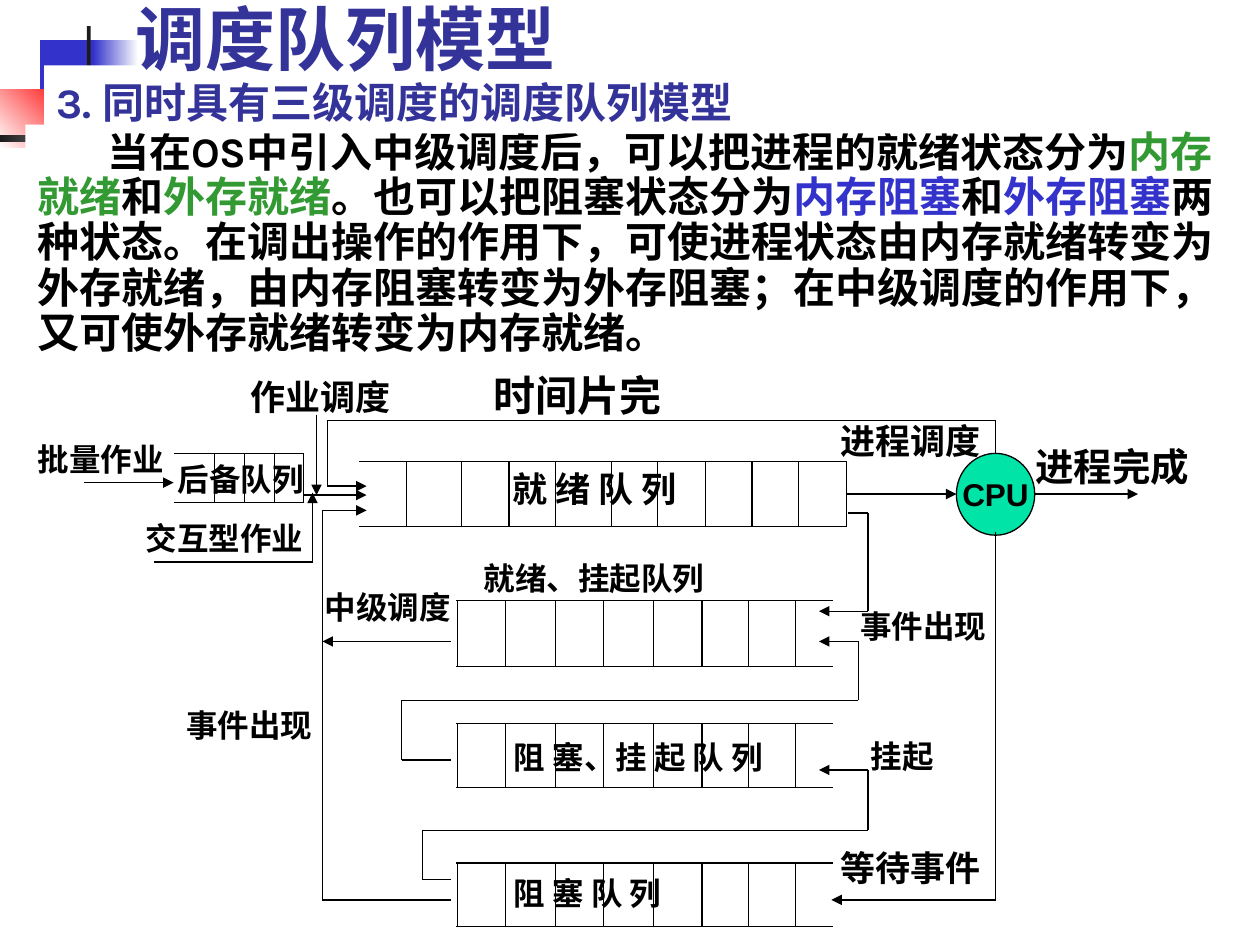
from itertools import pairwise

from lxml.etree import SubElement
from pptx import Presentation
from pptx.dml.color import RGBColor
from pptx.enum.shapes import MSO_CONNECTOR, MSO_SHAPE
from pptx.enum.text import MSO_ANCHOR, MSO_AUTO_SIZE, PP_ALIGN
from pptx.oxml.ns import qn
from pptx.util import Cm, Pt

COLORS = {
    "black": "000000", "white": "FFFFFF", "blue": "3333CC", "navy": "333399",
    "green": "339933", "yellow": "FFCF01", "red": "FF0000", "bar": "1C1C1C",
    "cpu": "00E4A8",
}

HEADING = "调度队列模型"
TITLE = "3. 同时具有三级调度的调度队列模型"
BODY = [
    ("当在OS中引入中级调度后，可以把进程的就绪状态分为", "black"),
    ("内存就绪", "green"), ("和", "black"), ("外存就绪", "green"),
    ("。也可以把阻塞状态分为", "black"),
    ("内存阻塞", "blue"), ("和", "black"), ("外存阻塞", "blue"),
    ("两种状态。在调出操作的作用下，可使进程状态由内存就绪转变为外存就绪，"
     "由内存阻塞转变为外存阻塞；在中级调度的作用下，又可使外存就绪转变为内存就绪。", "black"),
]

# Corner ornament: left, top, width, height, colours, gradient angle
ORNAMENT = [
    (0.81, 0.81, 1.22, 1.32, ["blue"], 0),
    (1.88, 0.81, 0.91, 1.32, ["blue", "white"], 0),
    (1.14, 2.01, 1.17, 1.32, ["yellow"], 0),
    (2.18, 2.01, 1.02, 1.32, ["yellow", "white"], 0),
    (0, 1.8, 1.55, 1.17, ["white", "red"], 45),
    (1.75, 0.53, 0.08, 2.92, ["bar"], 0),
    (0, 2.72, 3.1, 0.15, ["bar", "white"], 0),
]

# Queues: left, right, top, bottom, divider positions
STEPS = [9.22, 10.19, 11.2, 12.17, 13.18, 14.15, 15.09, 16.03]
QUEUES = [
    (3.5, 6.12, 9.14, 10.13, [4.32, 4.93, 5.54, 6.12]),
    (7.24, 17.07, 9.3, 10.62,
     [8.2, 9.3, 10.26, 11.2, 12.32, 13.26, 14.22, 15.16, 16.1, 17.07]),
    (9.2, 16.8, 12.1, 13.44, STEPS),
    (9.2, 16.8, 14.58, 15.88, STEPS),
    (9.2, 16.8, 17.4, 18.67, STEPS),
]

# Routes between queues; each one ends in an arrowhead
ROUTES = [
    [(20.07, 9.14), (20.07, 8.48), (6.6, 8.48), (6.6, 9.8), (7.39, 9.8)],
    [(17.07, 9.96), (19.28, 9.96)],
    [(20.86, 9.96), (22.94, 9.96)],
    [(20.07, 10.72), (20.07, 18.14), (16.76, 18.14)],
    [(9.09, 18.14), (6.5, 18.14), (6.5, 10.29), (7.39, 10.29)],
    [(1.7, 9.73), (3.5, 9.73)],
    [(3.1, 11.33), (6.3, 11.33), (6.3, 9.93)],
    [(6.12, 9.98), (7.39, 9.98)],
    [(6.38, 8.36), (6.38, 9.98)],
    [(9.09, 17.73), (8.51, 17.73), (8.51, 16.74), (17.5, 16.74), (17.5, 15.52), (16.51, 15.52)],
    [(9.09, 15.32), (8.1, 15.32), (8.1, 14.12), (17.3, 14.12), (17.3, 12.93), (16.51, 12.93)],
    [(9.09, 12.93), (6.5, 12.93)],
    [(17.09, 10.34), (17.5, 10.34), (17.5, 12.32), (16.51, 12.32)],
]

# Labels: text, left, top, width, size
LABELS = [
    ("就 绪 队 列", 10.08, 9.3, 4.27, 20),
    ("时间片完", 9.7, 7.32, 4.27, 24),
    ("进程调度", 16.69, 8.33, 3.58, 20),
    ("进程完成", 20.62, 8.81, 3.86, 22),
    ("后备队列", 3.33, 9.14, 3.18, 18),
    ("等待事件", 16.69, 16.94, 3.99, 20),
    ("事件出现", 3.51, 14.1, 3.3, 18),
    ("作业调度", 4.8, 7.44, 3.71, 20),
    ("批量作业", 0.51, 8.74, 3.4, 18),
    ("交互型作业", 2.69, 10.34, 3.81, 18),
    ("中级调度", 6.3, 11.73, 3.2, 18),
    ("就绪、挂起队列", 9.5, 11.15, 6.2, 18),
    ("事件出现", 17.09, 12.12, 3.81, 18),
    ("阻 塞、挂 起 队 列", 10.11, 14.76, 6.2, 18),
    ("挂起", 17.3, 14.73, 3.02, 18),
    ("阻 塞 队 列", 10.11, 17.5, 3.99, 18),
]


def color(name):
    return RGBColor.from_string(COLORS[name])


def paint(shape, names, angle=0):
    if len(names) == 1:
        shape.fill.solid()
        shape.fill.fore_color.rgb = color(names[0])
        return
    shape.fill.gradient()
    shape.fill.gradient_angle = angle
    for stop, name in zip(shape.fill.gradient_stops, names):
        stop.color.rgb = color(name)


def place(shape, left, top, width, height):
    shape.left, shape.top = Cm(left), Cm(top)
    shape.width, shape.height = Cm(width), Cm(height)


def format_run(run, size, name, font="Arial"):
    run.font.name, run.font.size, run.font.bold = font, Pt(size), True
    run.font.color.rgb = color(name)


def add_shape(slide, kind, left, top, width, height):
    shape = slide.shapes.add_shape(kind, Cm(left), Cm(top), Cm(width), Cm(height))
    shape.shadow.inherit = False
    return shape


def add_line(slide, start, end, arrow=False):
    line = slide.shapes.add_connector(MSO_CONNECTOR.STRAIGHT, *map(Cm, start + end))
    line.line.color.rgb = color("black")
    line.line.width = Pt(0.75)
    if arrow:
        SubElement(line.line._get_or_add_ln(), qn("a:tailEnd"), type="triangle")
    SubElement(line._element.spPr, qn("a:effectLst"))


def add_label(slide, text, left, top, width, height, size, name="black", font="Arial"):
    box = slide.shapes.add_textbox(Cm(left), Cm(top), Cm(width), Cm(height))
    box.text_frame.word_wrap = True
    box.text_frame.text = text
    format_run(box.text_frame.paragraphs[0].runs[0], size, name, font)
    return box


def main():
    presentation = Presentation()
    presentation.slide_width, presentation.slide_height = Cm(25.4), Cm(19.05)
    slide = presentation.slides.add_slide(presentation.slide_layouts[1])
    title, body = slide.shapes.title, slide.placeholders[1]

    # Corner ornament, behind the placeholders
    for *area, names, angle in ORNAMENT:
        shape = add_shape(slide, MSO_SHAPE.RECTANGLE, *area)
        paint(shape, names, angle)
        shape.line.fill.background()

    # Body and title
    for placeholder in (body, title):
        slide.shapes._spTree.append(placeholder._element)
        paint(placeholder, ["white"])
    place(body, 0.51, 2.51, 24.41, 5.41)
    body.text_frame.auto_size = MSO_AUTO_SIZE.NONE
    paragraph = body.text_frame.paragraphs[0]
    properties = paragraph._p.get_or_add_pPr()
    properties.set("marL", "0")
    properties.set("indent", str(Cm(1.4)))
    SubElement(properties, qn("a:buNone"))
    paragraph.line_spacing, paragraph.space_before = 0.9, Pt(0)
    for text, name in BODY:
        run = paragraph.add_run()
        run.text = text
        format_run(run, 24, name, "Karla")

    place(title, 0.89, 1.32, 21.64, 1.37)
    title.text_frame.text = TITLE
    title.text_frame.auto_size = MSO_AUTO_SIZE.NONE
    title.text_frame.vertical_anchor = MSO_ANCHOR.BOTTOM
    title.text_frame.paragraphs[0].alignment = PP_ALIGN.LEFT
    format_run(title.text_frame.paragraphs[0].runs[0], 24, "navy", "Karla")

    # Heading
    heading = add_label(slide, HEADING, 2.49, -0.08, 21.64, 1.8, 40, "navy", "Karla")
    heading.text_frame.vertical_anchor = MSO_ANCHOR.BOTTOM

    # Queues
    for left, right, top, bottom, dividers in QUEUES:
        for y in (top, bottom):
            add_line(slide, (left, y), (right, y))
        for x in dividers:
            add_line(slide, (x, top), (x, bottom))

    # Processor
    cpu = add_shape(slide, MSO_SHAPE.OVAL, 19.28, 9.14, 1.58, 1.65)
    paint(cpu, ["cpu"])
    cpu.line.color.rgb = color("black")
    cpu.line.width = Pt(0.75)
    cpu.text_frame.text = "CPU"
    cpu.text_frame.word_wrap = False
    cpu.text_frame.vertical_anchor = MSO_ANCHOR.MIDDLE
    cpu.text_frame.paragraphs[0].alignment = PP_ALIGN.CENTER
    format_run(cpu.text_frame.paragraphs[0].runs[0], 18, "black")

    # Routes and labels
    for route in ROUTES:
        for start, end in pairwise(route):
            add_line(slide, start, end, arrow=end == route[-1])
    for text, left, top, width, size in LABELS:
        add_label(slide, text, left, top, width, size * 0.04 + 0.3, size)

    presentation.save("out.pptx")


if __name__ == "__main__":
    main()
